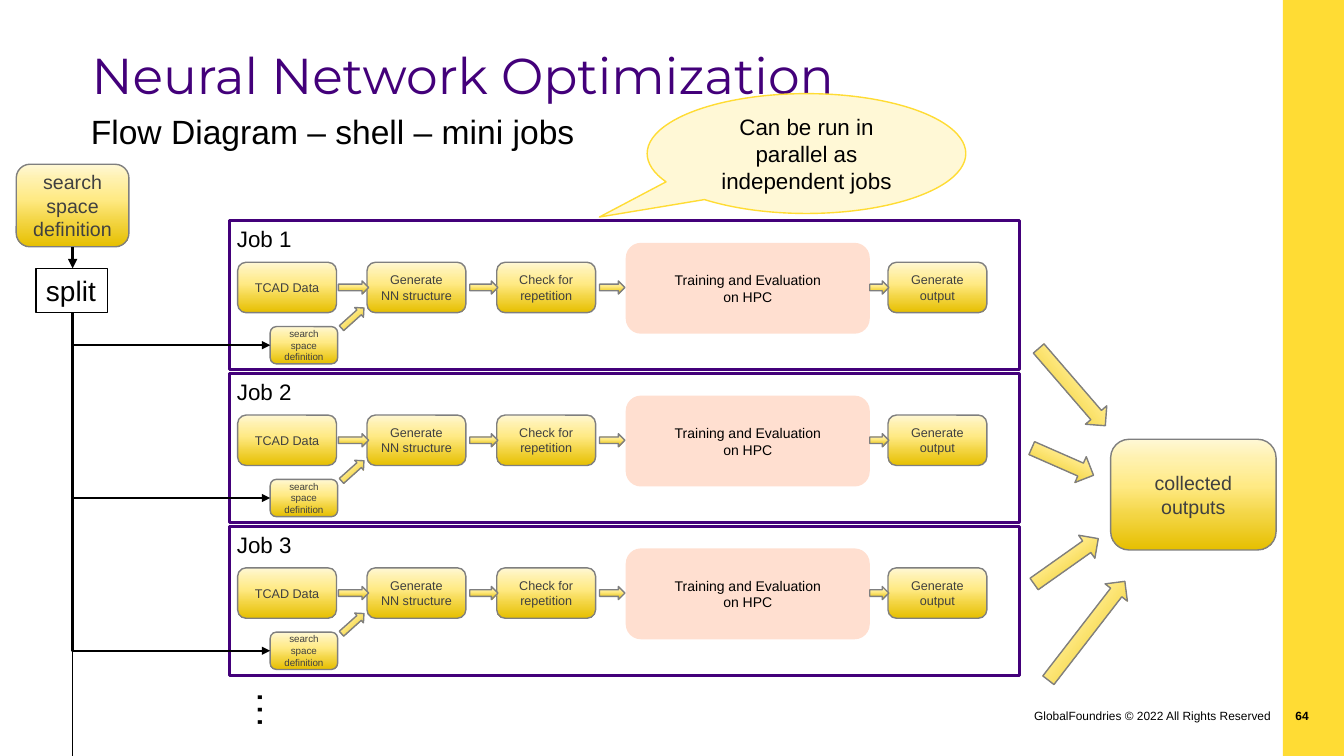
from dataclasses import dataclass

from lxml.etree import SubElement
from pptx import Presentation
from pptx.dml.color import RGBColor
from pptx.enum.shapes import MSO_CONNECTOR as Connector, MSO_SHAPE as Shape
from pptx.enum.text import MSO_ANCHOR as Anchor, PP_ALIGN as Align
from pptx.oxml.ns import qn
from pptx.util import Cm, Pt


@dataclass(frozen=True)
class Theme:
    body_font: str = "Arial"
    title_font: str = "Montserrat"
    purple: str = "43007A"
    yellow: str = "FFDC34"
    cream: str = "FFF8D6"
    peach: str = "FFDFD0"
    white: str = "FFFFFF"
    black: str = "000000"
    grey: str = "7F7F7F"
    dark_grey: str = "404040"
    gold_stops: tuple = ((0, "FFF8D6"), (18, "FFF1AE"), (42, "FFEA85"),
                         (69, "F3D543"), (100, "E6BF00"))
    title: float = 36
    ellipsis: float = 28
    subtitle: float = 24
    split: float = 20
    label: float = 16
    node: float = 14
    training: float = 10
    step: float = 9
    footer: float = 8.5
    mini: float = 7


class FlowSlide:
    def __init__(self, presentation, theme):
        self.theme = theme
        self.shapes = presentation.slides.add_slide(presentation.slide_layouts[6]).shapes

    def set_text(self, shape, text, size, color=None, align=Align.CENTER, font=None, bold=False):
        frame = shape.text_frame
        frame.word_wrap = True
        frame.text = text
        for paragraph in frame.paragraphs:
            paragraph.alignment = align
            paragraph.font.name = font or self.theme.body_font
            paragraph.font.size = Pt(size)
            paragraph.font.bold = bold
            paragraph.font.color.rgb = RGBColor.from_string(color or self.theme.black)

    def text(self, box, text, size, align=Align.LEFT, inset=None, rotation=0, **style):
        """Add a text box; inset gives left, top, right and bottom margins in cm."""
        shape = self.shapes.add_textbox(*map(Cm, box))
        shape.rotation = rotation
        self.set_text(shape, text, size, align=align, **style)
        if inset:
            frame = shape.text_frame
            (frame.margin_left, frame.margin_top,
             frame.margin_right, frame.margin_bottom) = map(Cm, inset)

    def shape(self, kind, box, fill=None, line=None, width=1.0):
        shape = self.shapes.add_shape(kind, *map(Cm, box))
        shape.shadow.inherit = False
        if fill:
            shape.fill.solid()
            shape.fill.fore_color.rgb = RGBColor.from_string(fill)
        if line:
            shape.line.color.rgb = RGBColor.from_string(line)
            shape.line.width = Pt(width)
        else:
            shape.line.fill.background()
        shape.text_frame.vertical_anchor = Anchor.MIDDLE
        return shape

    def gold(self, kind, box):
        """Add a grey-edged shape with the five-stop vertical gold gradient."""
        shape = self.shape(kind, box, line=self.theme.grey)
        shape.fill.gradient()
        shape.fill.gradient_angle = 270
        stops = shape.element.spPr.find(qn("a:gradFill")).find(qn("a:gsLst"))
        for stop in list(stops):
            stops.remove(stop)
        for percent, color in self.theme.gold_stops:
            stop = SubElement(stops, qn("a:gs"), pos=str(percent * 1000))
            SubElement(stop, qn("a:srgbClr"), val=color)
        return shape

    def node(self, box, text, size):
        shape = self.gold(Shape.ROUNDED_RECTANGLE, box)
        self.set_text(shape, text, size, self.theme.dark_grey)

    def arrow(self, box, rotation=0):
        self.gold(Shape.RIGHT_ARROW, box).rotation = rotation

    def line(self, start, end, width, kind=Connector.STRAIGHT, arrow_end=None):
        """Add a connector; arrow_end is headEnd (start), tailEnd (end) or None."""
        connector = self.shapes.add_connector(kind, *map(Cm, start + end))
        connector.line.color.rgb = RGBColor.from_string(self.theme.black)
        connector.line.width = Pt(width)
        properties = connector.element.spPr
        if arrow_end:
            SubElement(properties.find(qn("a:ln")), qn(f"a:{arrow_end}"), type="triangle")
        SubElement(properties, qn("a:effectLst"))
        return connector

    def branch(self, start, end, width):
        """Add a one-corner line from a job back to the trunk, arrow on the job."""
        connector = self.line(start, end, width, Connector.ELBOW, "headEnd")
        connector.element.spPr.find(qn("a:prstGeom")).set("prst", "bentConnector2")

    def job(self, number, top):
        theme = self.theme
        self.shape(Shape.RECTANGLE, (5.79, top, 19.91, 3.76), theme.white, theme.purple, 2.25)
        training = self.shape(Shape.ROUNDED_RECTANGLE, (15.77, top + 0.56, 6.15, 2.29),
                              theme.peach)
        self.set_text(training, "Training and Evaluation\non HPC", theme.training)
        for left, step in STEPS:
            self.node((left, top + 1.05, 2.49, 1.27), step, theme.step)
        for left, width in STEP_ARROWS:
            self.arrow((left, top + 1.52, width, 0.33))
        self.node((6.81, top + 2.67, 1.7, 0.94), SEARCH_SPACE, theme.mini)
        self.arrow((8.51, top + 2.29, 0.76, 0.33), 318.1)
        self.text((5.72, top, 2.34, 0.94), f"Job {number}", theme.label)


SEARCH_SPACE = "search space definition"
STEPS = ((5.99, "TCAD Data"), (9.25, "Generate NN structure"),
         (12.52, "Check for repetition"), (22.38, "Generate output"))
STEP_ARROWS = ((8.53, 0.76), (11.84, 0.71), (15.11, 0.64), (21.92, 0.48))
COLLECT_ARROWS = ((25.73, 9.4, 2.57, 49.2), (25.93, 11.28, 1.7, 23.7),
                  (25.88, 13.79, 1.98, 324.7), (25.81, 15.54, 3.15, 307.7))
BRANCH_WIDTHS = (1, 1, 1.5)
FIRST_JOB_TOP, JOB_PITCH = 5.56, 3.85
TRUNK_X, SPLIT_TOP, SPLIT_BOTTOM = 1.83, 6.76, 7.87
SLIDE_WIDTH, SLIDE_HEIGHT = 33.87, 19.05


def main():
    presentation = Presentation()
    presentation.slide_width = Cm(SLIDE_WIDTH)
    presentation.slide_height = Cm(SLIDE_HEIGHT)
    theme = Theme()
    slide = FlowSlide(presentation, theme)

    slide.shape(Shape.RECTANGLE, (32.33, 0, SLIDE_WIDTH - 32.33, SLIDE_HEIGHT), theme.yellow)
    slide.text((25.55, 17.73, 6.73, 1.02), "GlobalFoundries © 2022 All Rights Reserved",
               theme.footer, Align.RIGHT)
    slide.text((32.16, 17.73, 1.07, 1.02), "64", theme.footer, Align.RIGHT,
               (0, 0.13, 0.25, 0.13), bold=True)
    slide.text((2.31, 1.12, 28.04, 1.57), "Neural Network Optimization", theme.title,
               inset=(0, 0, 0, 0), color=theme.purple, font=theme.title_font)
    slide.text((2.29, 2.79, 13.11, 1.09), "Flow Diagram – shell – mini jobs", theme.subtitle,
               inset=(0, 0, 0, 0))

    job_tops = [FIRST_JOB_TOP + index * JOB_PITCH for index in range(len(BRANCH_WIDTHS))]
    for number, top in enumerate(job_tops, start=1):
        slide.job(number, top)
    slide.text((6.15, 17.15, 1.47, 1.45), "…", theme.ellipsis, rotation=90)

    slide.node((0.41, 4.14, 2.84, 2.08), SEARCH_SPACE, theme.node)
    split = slide.shape(Shape.RECTANGLE, (0.91, SPLIT_TOP, 1.8, SPLIT_BOTTOM - SPLIT_TOP),
                        theme.white, theme.black)
    slide.set_text(split, "split", theme.split, align=Align.LEFT)
    slide.line((TRUNK_X, 6.22), (TRUNK_X, SPLIT_TOP), 2.25, arrow_end="tailEnd")
    for top, width in zip(job_tops, BRANCH_WIDTHS):
        slide.branch((6.81, top + 3.14), (TRUNK_X, SPLIT_BOTTOM), width)
    slide.line((TRUNK_X, SPLIT_BOTTOM), (TRUNK_X, SLIDE_HEIGHT), 1)

    slide.node((27.99, 11.07, 4.17, 2.79), "collected outputs", theme.node)
    for left, top, width, rotation in COLLECT_ARROWS:
        slide.arrow((left, top, width, 0.71), rotation)

    callout = slide.shape(Shape.OVAL_CALLOUT, (16.31, 2.36, 8.03, 3.02),
                          theme.cream, theme.yellow)
    callout.adjustments[0] = -0.65
    callout.adjustments[1] = 0.53
    slide.set_text(callout, "Can be run in\nparallel as independent jobs", theme.label)
    presentation.save("out.pptx")


if __name__ == "__main__":
    main()
